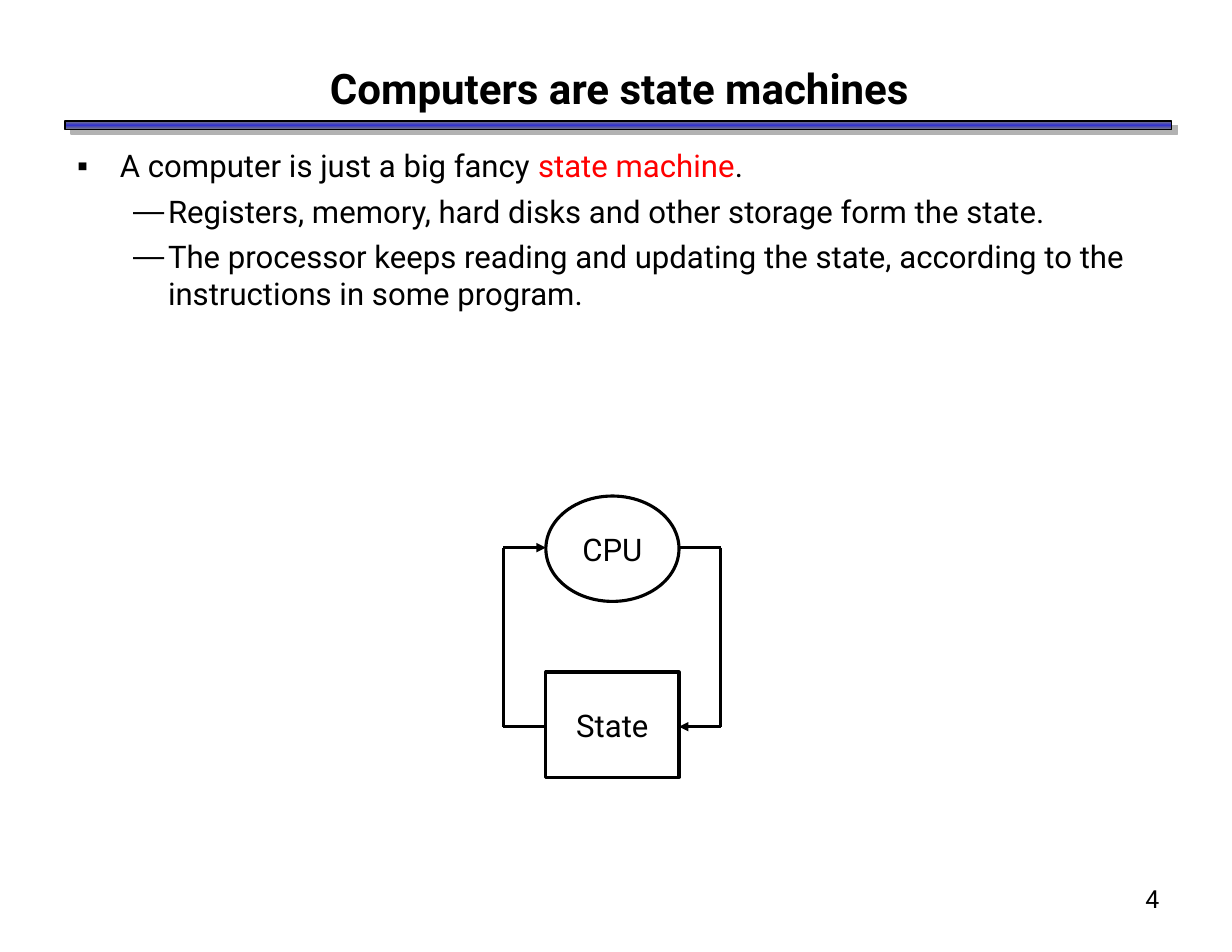
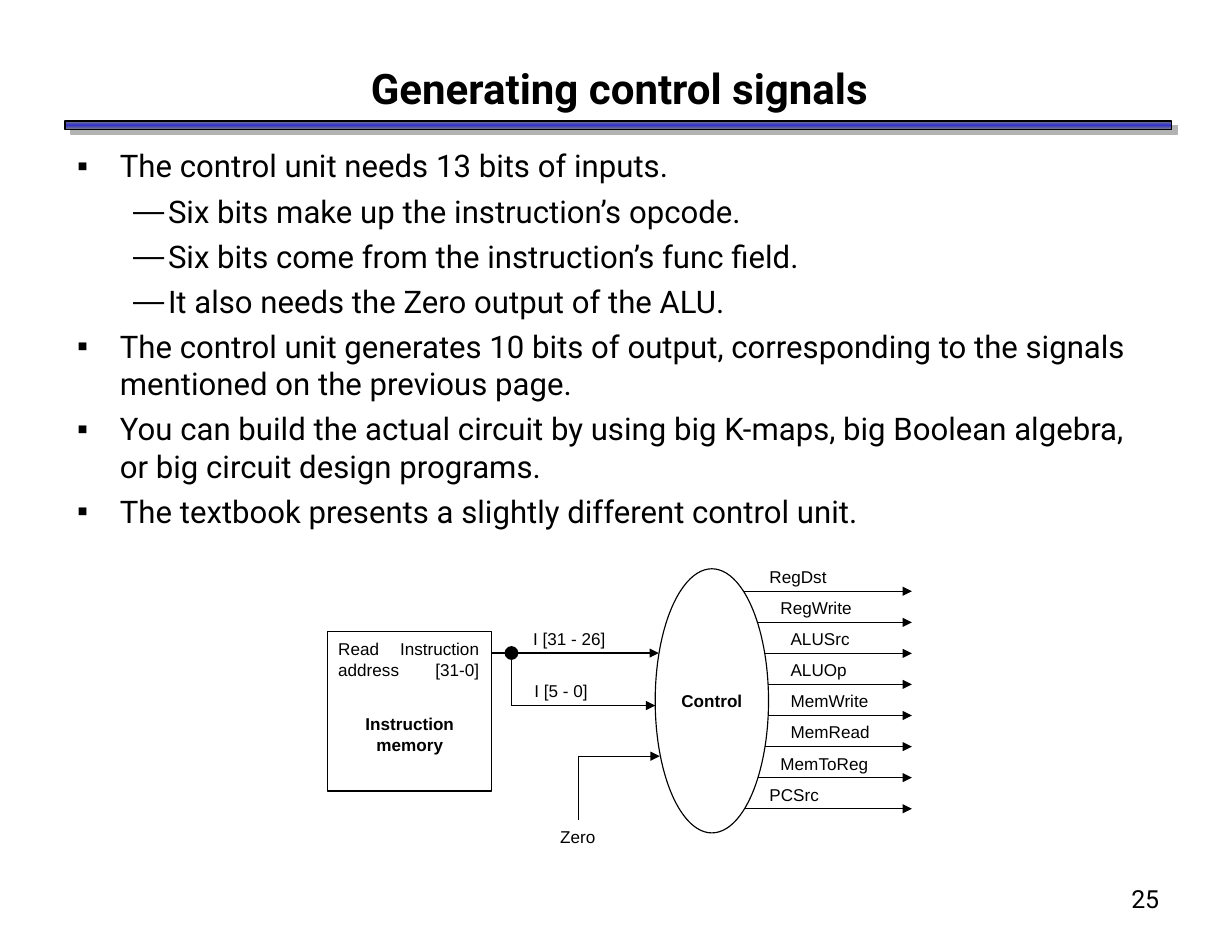
"""Build two lecture slides about state machines and control signals."""
import copy
import itertools
import math

import pptx
import pptx.dml.color
import pptx.enum.shapes
import pptx.enum.text
import pptx.oxml.ns
import pptx.util
from lxml import etree
from pptx.util import Cm, Pt

BLACK, RED, BLUE, GREY, SHADOW = "000000", "FF0000", "3333CC", "808080", "B2B2B2"
TEXT_FONT, DIAGRAM_FONT = "Roboto", "Arial"
THIN, THICK = 0.75, 2
LEFT = 1.47
LEVELS = [("▪", 0.97, -0.97), ("—", 2.06, -0.79)]
ALIGN = pptx.enum.text.PP_ALIGN
ANCHOR = pptx.enum.text.MSO_ANCHOR
SHAPE = pptx.enum.shapes.MSO_SHAPE
qn = pptx.oxml.ns.qn

STATE_POINTS = [
    (0, "A computer is just a big fancy |state machine|."),
    (1, "Registers, memory, hard disks and other storage form the state."),
    (1, "The processor keeps reading and updating the state, according to the "
        "instructions in some program."),
]
CONTROL_POINTS = [
    (0, "The control unit needs 13 bits of inputs."),
    (1, "Six bits make up the instruction’s opcode."),
    (1, "Six bits come from the instruction’s func field."),
    (1, "It also needs the Zero output of the ALU."),
    (0, "The control unit generates 10 bits of output, corresponding to the signals "
        "mentioned on the previous page."),
    (0, "You can build the actual circuit by using big K-maps, big Boolean algebra, "
        "or big circuit design programs."),
    (0, "The textbook presents a slightly different control unit."),
]
SIGNALS = [
    ("RegDst", 17.17, 1.88), ("RegWrite", 17.42, 2.18), ("ALUSrc", 17.65, 1.9),
    ("ALUOp", 17.65, 1.85), ("MemWrite", 17.65, 2.34), ("MemRead", 17.65, 2.36),
    ("MemToReg", 17.42, 2.59), ("PCSrc", 17.17, 1.7),
]


def color(value):
    return pptx.dml.color.RGBColor.from_string(value)


def format_run(run, size, font=TEXT_FONT, bold=False, tint=BLACK):
    run.font.size = Pt(size)
    run.font.name = font
    run.font.bold = bold
    run.font.color.rgb = color(tint)


def set_frame(text_frame, anchor=ANCHOR.TOP, wrap=True, insets=(0.28, 0.15)):
    text_frame.auto_size = pptx.enum.text.MSO_AUTO_SIZE.NONE
    text_frame.word_wrap = wrap
    text_frame.vertical_anchor = anchor
    text_frame.margin_left = text_frame.margin_right = Cm(insets[0])
    text_frame.margin_top = text_frame.margin_bottom = Cm(insets[1])


def write(text_frame, text, size, font=TEXT_FONT, align=ALIGN.LEFT, bold=False):
    text_frame.text = text
    for paragraph in text_frame.paragraphs:
        paragraph.alignment = align
        for run in paragraph.runs:
            format_run(run, size, font, bold)


def place(shape, left, top, width, height):
    shape.left, shape.top = Cm(left), Cm(top)
    shape.width, shape.height = Cm(width), Cm(height)


def add_node(slide, kind, box, line_width, text="", size=20, font=TEXT_FONT, bold=False):
    shape = slide.shapes.add_shape(kind, *map(Cm, box))
    shape.shadow.inherit = False
    shape.fill.background()
    shape.line.color.rgb = color(BLACK)
    shape.line.width = Pt(line_width)
    if text:
        set_frame(shape.text_frame, ANCHOR.MIDDLE, False, (0, 0))
        write(shape.text_frame, text, size, font, ALIGN.CENTER, bold)
    return shape


def add_label(slide, text, left, top, width, align=ALIGN.LEFT, bold=False):
    height = 0.76 + 0.46 * text.count("\n")
    label = slide.shapes.add_textbox(Cm(left), Cm(top), Cm(width), Cm(height))
    set_frame(label.text_frame, wrap=False)
    write(label.text_frame, text, 11, DIAGRAM_FONT, align, bold)


def add_wire(slide, points, line_width):
    for start, end in itertools.pairwise(points):
        connector = slide.shapes.add_connector(
            pptx.enum.shapes.MSO_CONNECTOR.STRAIGHT, *map(Cm, start + end))
        connector.line.color.rgb = color(BLACK)
        connector.line.width = Pt(line_width)
        properties = connector.element.spPr
        etree.SubElement(properties, qn("a:effectLst"))
    etree.SubElement(properties.find(qn("a:ln")), qn("a:tailEnd"), type="triangle")


def add_band(slide):
    band = add_node(slide, SHAPE.RECTANGLE, (LEFT, 2.74, 25.1, 0.2), 1)
    band.fill.gradient()
    band.fill.gradient_angle = 90
    stop_list = band.element.spPr.find(".//" + qn("a:gsLst"))
    stop_list.append(copy.deepcopy(stop_list[-1]))
    for stop, position, tint in zip(band.fill.gradient_stops, (0, 0.5, 1), (GREY, BLUE, GREY)):
        stop.position = position
        stop.color.rgb = color(tint)
    effects = band.element.spPr.find(qn("a:effectLst"))
    shadow = etree.SubElement(effects, qn("a:outerShdw"), blurRad="0",
                              dist=str(Pt(5)), dir=str(37 * 60000), algn="ctr", rotWithShape="0")
    etree.SubElement(shadow, qn("a:srgbClr"), val=SHADOW)


def add_bullet(paragraph, level, text):
    character, margin, indent = LEVELS[level]
    paragraph.level = level
    paragraph.space_before = Pt(5)
    properties = paragraph._p.get_or_add_pPr()
    properties.set("marL", str(Cm(margin)))
    properties.set("indent", str(Cm(indent)))
    bullet_color = etree.SubElement(properties, qn("a:buClr"))
    etree.SubElement(bullet_color, qn("a:srgbClr"), val=BLACK)
    etree.SubElement(properties, qn("a:buChar"), char=character)
    for position, piece in enumerate(text.split("|")):
        run = paragraph.add_run()
        run.text = piece
        format_run(run, 20, tint=RED if position % 2 else BLACK)


def add_slide(presentation, title, points, number):
    slide = presentation.slides.add_slide(presentation.slide_layouts[1])
    add_band(slide)
    heading, body = slide.shapes.title, slide.placeholders[1]
    place(heading, LEFT, 1.27, 25.15, 1.45)
    set_frame(heading.text_frame, ANCHOR.MIDDLE)
    write(heading.text_frame, title, 27, align=ALIGN.CENTER, bold=True)
    place(body, LEFT, 3.18, 25.07, 16.51)
    set_frame(body.text_frame)
    for position, (level, text) in enumerate(points):
        frame = body.text_frame
        add_bullet(frame.add_paragraph() if position else frame.paragraphs[0], level, text)
    page = slide.shapes.add_textbox(Cm(20.75), Cm(19.89), Cm(5.82), Cm(1.45))
    set_frame(page.text_frame)
    write(page.text_frame, str(number), 16, align=ALIGN.RIGHT)
    return slide


def draw_state_machine(slide):
    left, right, cpu_y, state_y = 12.38, 15.4, 12.42, 16.48
    outer_left, outer_right = 11.41, 16.34
    add_node(slide, SHAPE.RECTANGLE, (left, 15.24, right - left, 2.39), THICK, "State")
    add_node(slide, SHAPE.OVAL, (left, 11.25, right - left, 2.39), THICK, "CPU")
    add_wire(slide, [(right, cpu_y), (outer_right, cpu_y),
                     (outer_right, state_y), (right, state_y)], THICK)
    add_wire(slide, [(left, state_y), (outer_left, state_y),
                     (outer_left, cpu_y), (left, cpu_y)], THICK)


def draw_memory(slide):
    add_node(slide, SHAPE.RECTANGLE, (7.42, 14.33, 3.73, 3.61), THIN)
    add_label(slide, "Read\naddress", 7.39, 14.33, 1.96)
    add_label(slide, "Instruction\n[31-0]", 8.79, 14.33, 2.36, ALIGN.RIGHT)
    add_label(slide, "Instruction\nmemory", 8, 16.03, 2.59, ALIGN.CENTER, True)


def draw_inputs(slide):
    branch_x, opcode_y, func_y, zero_x, zero_y = 11.6, 14.81, 16, 13.11, 17.15
    add_wire(slide, [(11.13, opcode_y), (14.94, opcode_y)], THIN)
    add_wire(slide, [(branch_x, opcode_y), (branch_x, func_y), (14.86, func_y)], THIN)
    add_wire(slide, [(zero_x, 18.59), (zero_x, zero_y), (14.96, zero_y)], THIN)
    dot = add_node(slide, SHAPE.OVAL, (branch_x - 0.12, opcode_y - 0.12, 0.24, 0.24), THICK)
    dot.fill.solid()
    dot.fill.fore_color.rgb = color(BLACK)
    add_label(slide, "I [31 - 26]", 11.81, opcode_y - 0.71, 2.21)
    add_label(slide, "I [5 - 0]", 11.84, func_y - 0.71, 1.78)
    add_label(slide, "Zero", 12.42, 18.59, 1.37, ALIGN.CENTER)


def draw_control(slide):
    left, top, width, height = 14.86, 12.9, 2.57, 5.99
    add_node(slide, SHAPE.OVAL, (left, top, width, height), THIN,
             "Control", 11, DIAGRAM_FONT, True)
    first_y, last_y = 13.41, 18.34
    step = (last_y - first_y) / (len(SIGNALS) - 1)
    for position, (name, label_left, label_width) in enumerate(SIGNALS):
        y = first_y + position * step
        offset = (y - top - height / 2) / (height / 2)
        edge = left + width / 2 * (1 + math.sqrt(1 - offset ** 2))
        add_wire(slide, [(edge, y), (20.68, y)], THIN)
        add_label(slide, name, label_left, y - 0.71, label_width)


def main():
    presentation = pptx.Presentation()
    presentation.slide_width, presentation.slide_height = Cm(27.94), Cm(21.59)
    draw_state_machine(add_slide(presentation, "Computers are state machines", STATE_POINTS, 4))
    slide = add_slide(presentation, "Generating control signals", CONTROL_POINTS, 25)
    draw_memory(slide)
    draw_inputs(slide)
    draw_control(slide)
    presentation.save("out.pptx")


if __name__ == "__main__":
    main()
